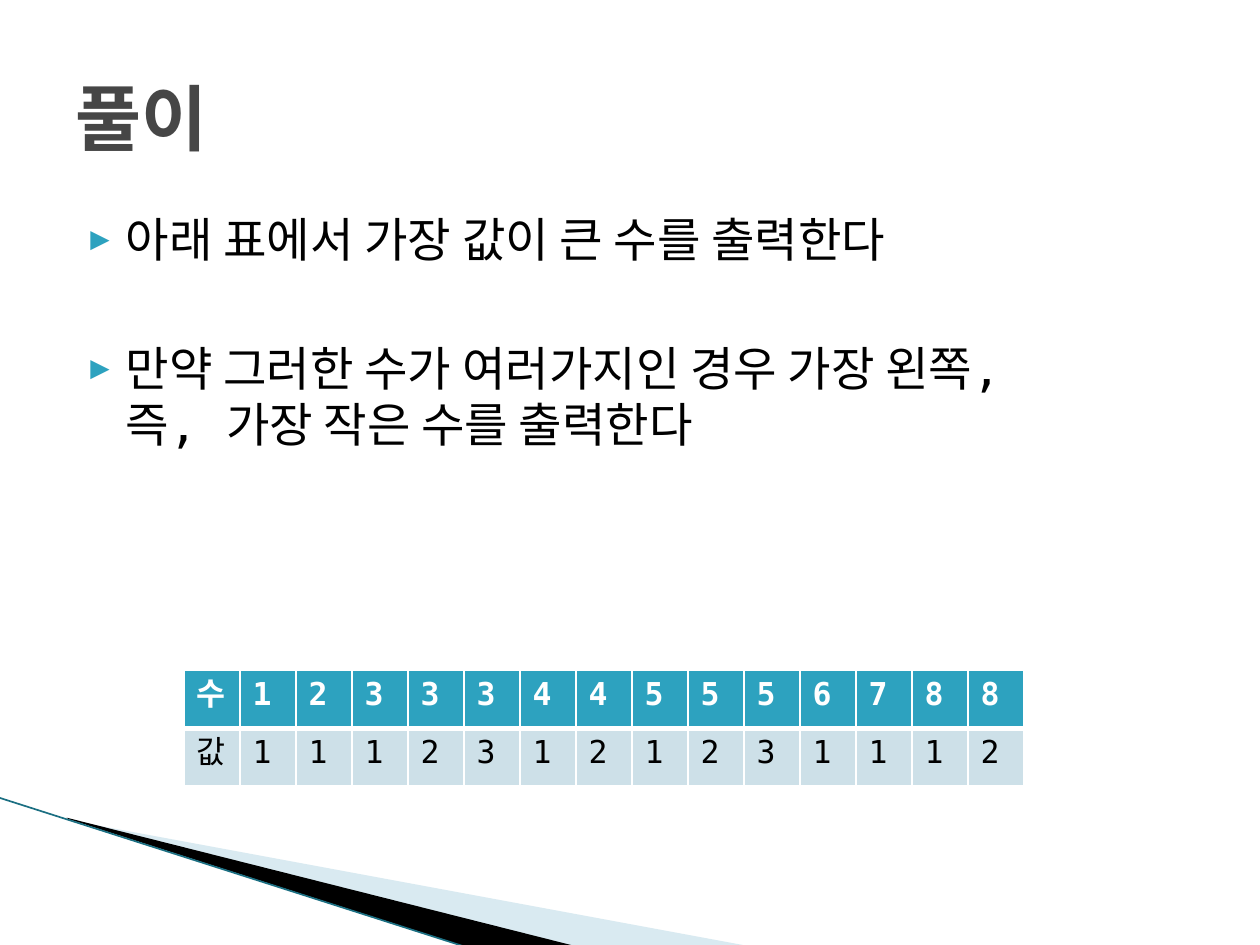
from dataclasses import dataclass
from lxml.etree import SubElement
from pptx import Presentation
from pptx.dml.color import RGBColor as RGB
from pptx.enum.shapes import MSO_CONNECTOR as Connector
from pptx.enum.text import MSO_ANCHOR as Anchor
from pptx.oxml.ns import qn
from pptx.util import Inches, Pt


@dataclass(frozen=True)
class Theme:
    font: str = "DejaVu Sans Mono"
    body_hangul: str = "+mn-lt"
    title: str = "464646"
    ink: str = "000000"
    white: str = "FFFFFF"
    accent: str = "2DA2BF"
    value_row: str = "CDE0E8"
    wedge: str = "A0CBDC"
    edge: str = "1B6F82"
    title_size: int = 41
    body_size: int = 27
    table_size: int = 18


THEME = Theme()


def write(paragraph, text, size, color, bold=False, before=0, hangul=THEME.font):
    paragraph.text = text
    paragraph.space_before = Pt(before)
    for run in paragraph.runs:
        font = run.font
        font.name, font.size, font.bold = THEME.font, Pt(size), bold
        font.color.rgb = RGB.from_string(color)
        SubElement(run._r.rPr, qn("a:ea"), typeface=hangul)


def text_frame(slide, left, top, width, height, anchor=Anchor.TOP):
    box = slide.shapes.add_textbox(*map(Inches, (left, top, width, height)))
    frame = box.text_frame
    frame.word_wrap = True
    frame.vertical_anchor = anchor
    return frame


def add_bullet(paragraph):
    props = paragraph._p.get_or_add_pPr()
    props.set("marL", str(Inches(0.4)))
    props.set("indent", str(Inches(-0.28)))
    SubElement(SubElement(props, qn("a:buClr")), qn("a:srgbClr"), val=THEME.accent)
    SubElement(props, qn("a:buSzPct"), val="68000")
    SubElement(props, qn("a:buFont"), typeface=THEME.font)
    SubElement(props, qn("a:buChar"), char="▶")


def add_wedge(slide, left, top, offsets, color, alpha=None):
    points = [(Inches(left + x), Inches(top + y)) for x, y in offsets]
    builder = slide.shapes.build_freeform(*points[0])
    builder.add_line_segments(points[1:], close=True)
    wedge = builder.convert_to_shape()
    wedge.shadow.inherit = False
    wedge.fill.solid()
    wedge.fill.fore_color.rgb = RGB.from_string(color)
    wedge.line.fill.background()
    if alpha:
        tint = wedge._element.spPr.find(qn("a:solidFill"))[0]
        SubElement(tint, qn("a:alpha"), val=str(alpha * 1000))


def add_corner(slide, left, top):
    # Pale and black wedges, then the thin edge line
    add_wedge(slide, left + 0.56, top + 0.17,
              [(0, 0.01), (5.4, 1.01), (4.01, 1.01), (0, 0)], THEME.wedge, alpha=40)
    add_wedge(slide, left + 0.54, top + 0.16,
              [(0, 0), (4.04, 1.02), (3.19, 1.03), (0.01, 0.01)], THEME.ink)
    edge = slide.shapes.add_connector(
        Connector.STRAIGHT, *map(Inches, (left, top, left + 3.72, top + 1.19)))
    edge.line.color.rgb = RGB.from_string(THEME.edge)
    edge.line.width = Pt(0.95)
    SubElement(edge._element.spPr, qn("a:effectLst"))


def add_title(slide, text, *box):
    frame = text_frame(slide, *box, anchor=Anchor.MIDDLE)
    write(frame.paragraphs[0], text, THEME.title_size, THEME.title, bold=True)


def add_points(slide, points, *box):
    frame = text_frame(slide, *box)
    for index, point in enumerate(points):
        paragraph = frame.add_paragraph() if index else frame.paragraphs[0]
        write(paragraph, point, THEME.body_size, THEME.ink,
              before=41 if index else 4, hangul=THEME.body_hangul)
        add_bullet(paragraph)


def set_borders(cell, bottom):
    props = cell._tc.get_or_add_tcPr()
    widths = {"lnL": 1, "lnR": 1, "lnT": 1, "lnB": bottom}
    for index, (side, width) in enumerate(widths.items()):
        border = SubElement(props, qn("a:" + side), w=str(Pt(width)))
        SubElement(SubElement(border, qn("a:solidFill")), qn("a:srgbClr"), val=THEME.white)
        props.insert(index, border)


def add_counts(slide, rows, left, top, width, height):
    table = slide.shapes.add_table(
        len(rows), len(rows[0]), *map(Inches, (left, top, width, height))).table
    for r, row in enumerate(rows):
        header = r == 0
        for c, text in enumerate(row):
            cell = table.cell(r, c)
            cell.fill.solid()
            cell.fill.fore_color.rgb = RGB.from_string(
                THEME.accent if header else THEME.value_row)
            set_borders(cell, bottom=3 if header else 1)
            # Row labels sit slightly lower than the digits
            write(cell.text_frame.paragraphs[0], text, THEME.table_size,
                  THEME.white if header else THEME.ink, bold=header,
                  before=0 if c else 5)


def build_solution(slide):
    add_corner(slide, -0.01, 6.33)
    add_points(slide, ["아래 표에서 가장 값이 큰 수를 출력한다",
                       "만약 그러한 수가 여러가지인 경우 가장 왼쪽,\v즉, 가장 작은 수를 출력한다"],
               0.5, 1.62, 9, 4.95)
    add_title(slide, "풀이", 0.5, 0.3, 9, 1.25)
    # Each number with its running count
    add_counts(slide, ["수12333445556788", "값11123121231112"], 1.46, 5.32, 6.67, 0.92)


deck = Presentation()
deck.slide_width, deck.slide_height = Inches(10), Inches(7.5)
build_solution(deck.slides.add_slide(deck.slide_layouts[6]))
deck.save("out.pptx")
